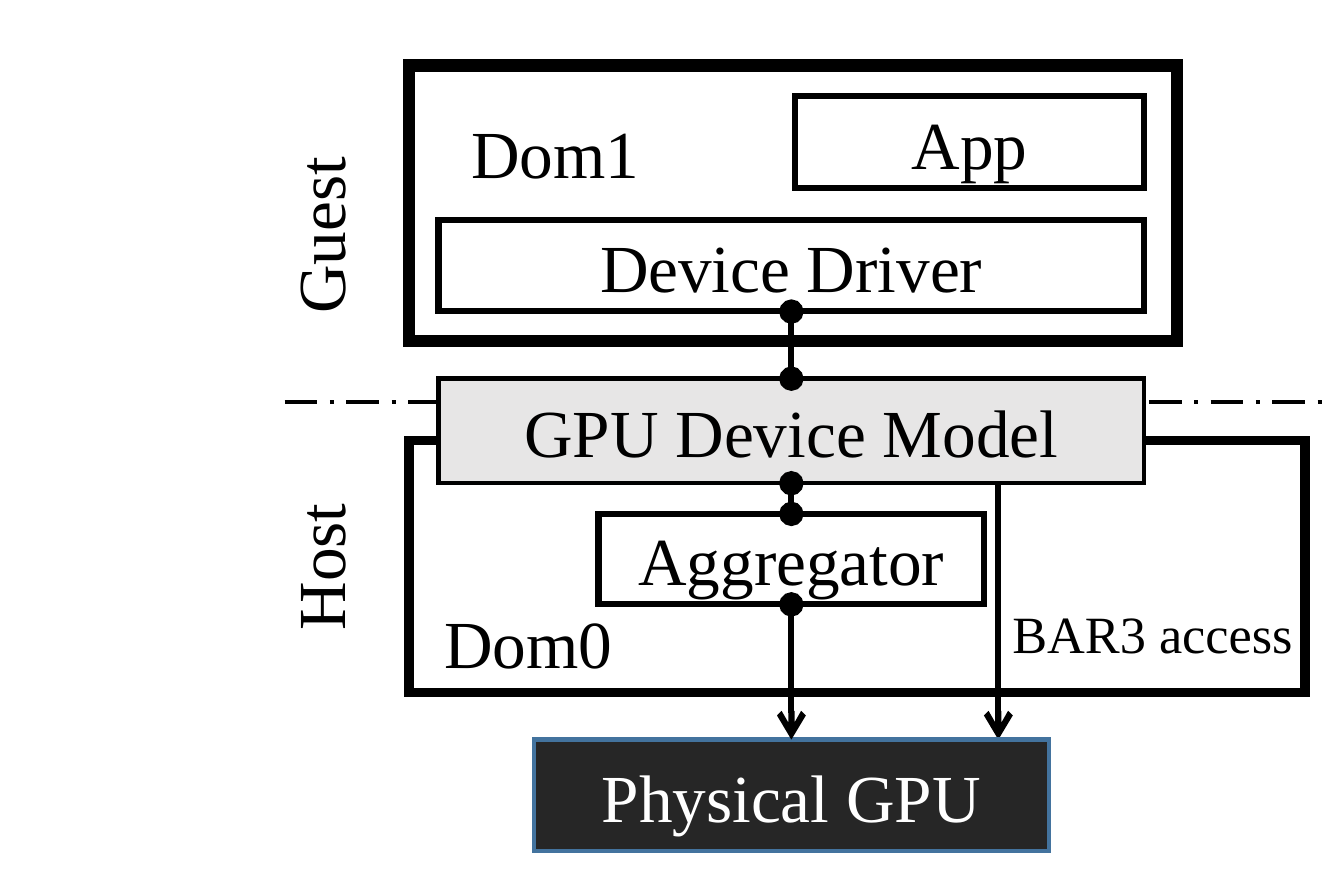
"""Build a slide of a GPU virtualisation stack: guest, host and hardware."""
import dataclasses

import lxml.etree
import pptx
import pptx.dml.color
import pptx.enum.dml
import pptx.enum.shapes
import pptx.enum.text
import pptx.oxml.ns
import pptx.util

Cm = pptx.util.Cm
BOTTOM, TOP = 2, 0


@dataclasses.dataclass(frozen=True)
class Theme:
    """Colours, font and sizes used across the slide."""
    font: str = "Times New Roman"
    label: float = 16.2
    small: float = 12.6
    ink: str = "000000"
    paper: str = "FFFFFF"
    model: str = "E7E6E6"
    hardware: str = "262626"
    hardware_edge: str = "43739E"
    hairline: float = 1
    line: float = 1.5
    host_line: float = 2.25
    guest_line: float = 3


@dataclasses.dataclass(frozen=True)
class Box:
    """A rectangle in centimetres."""
    left: float
    top: float
    width: float
    height: float

    def inner(self, left, top, width, height):
        """Return a box placed relative to this one."""
        return Box(self.left + left, self.top + top, width, height)

    def lengths(self):
        """Return the four measures as lengths."""
        return [Cm(value) for value in dataclasses.astuple(self)]


THEME = Theme()


def rgb(colour):
    """Turn a hex string into a colour."""
    return pptx.dml.color.RGBColor.from_string(colour)


def add_tag(parent, name, **attributes):
    """Append a DrawingML element."""
    return lxml.etree.SubElement(parent, pptx.oxml.ns.qn(name), **attributes)


def write(frame, text, size, colour=THEME.ink):
    """Write one run of text in a frame."""
    span = frame.paragraphs[0].add_run()
    span.text = text
    span.font.name = THEME.font
    span.font.size = pptx.util.Pt(size)
    span.font.color.rgb = rgb(colour)


def add_block(shapes, box, text="", weight=THEME.line, fill=None,
              edge=THEME.ink, colour=THEME.ink):
    """Add a rectangle with an optional centred label."""
    block = shapes.add_shape(pptx.enum.shapes.MSO_SHAPE.RECTANGLE, *box.lengths())
    block.shadow.inherit = False
    if fill:
        block.fill.solid()
        block.fill.fore_color.rgb = rgb(fill)
    else:
        block.fill.background()
    block.line.color.rgb = rgb(edge)
    block.line.width = pptx.util.Pt(weight)
    add_tag(block.line._get_or_add_ln(), "a:miter", lim="800000")
    if text:
        frame = block.text_frame
        frame.vertical_anchor = pptx.enum.text.MSO_ANCHOR.MIDDLE
        frame.paragraphs[0].alignment = pptx.enum.text.PP_ALIGN.CENTER
        write(frame, text, THEME.label, colour)
    return block


def add_label(page, box, text, size=THEME.label, rotation=0):
    """Add a free label that fits its text."""
    label = page.shapes.add_textbox(*box.lengths())
    label.rotation = rotation
    label.text_frame.word_wrap = False
    label.text_frame.auto_size = pptx.enum.text.MSO_AUTO_SIZE.SHAPE_TO_FIT_TEXT
    write(label.text_frame, text, size)


def add_line(page, start=(0, 0), end=(0, 0), weight=THEME.line, dash=None,
             head=None, tail=None):
    """Add a straight line with optional dash and ends."""
    line = page.shapes.add_connector(
        pptx.enum.shapes.MSO_CONNECTOR.STRAIGHT,
        *[Cm(value) for value in (*start, *end)])
    line.line.color.rgb = rgb(THEME.ink)
    line.line.width = pptx.util.Pt(weight)
    if dash:
        line.line.dash_style = dash
    outline = line.line._get_or_add_ln()
    if head:
        add_tag(outline, "a:headEnd", type=head)
    if tail:
        add_tag(outline, "a:tailEnd", type=tail)
    add_tag(line._element.spPr, "a:effectLst")
    return line


def link(page, upper, lower, tail="oval"):
    """Join the bottom of one block to the top of another."""
    line = add_line(page, head="oval", tail=tail)
    line.begin_connect(upper, BOTTOM)
    line.end_connect(lower, TOP)


def add_boundary(page, box):
    """Draw the line between guest and host with the side names."""
    add_line(page, (box.left, box.top), (box.left + box.width, box.top),
             THEME.hairline, pptx.enum.dml.MSO_LINE.LONG_DASH_DOT)
    add_label(page, box.inner(-0.63, -1.9, 1.85, 0.94), "Guest", rotation=270)
    add_label(page, box.inner(-0.51, 0.92, 1.6, 0.94), "Host", rotation=270)


def add_guest(page, box):
    """Draw the guest domain and return its device driver."""
    group = page.shapes.add_group_shape()
    add_block(group.shapes, box, weight=THEME.guest_line)
    add_block(group.shapes, box.inner(3.28, 0.26, 2.97, 0.78), "App")
    driver = add_block(group.shapes, box.inner(0.25, 1.31, 6, 0.78), "Device Driver")
    add_label(page, box.inner(0.28, 0.26, 1.96, 0.94), "Dom1")
    return driver


def add_host(page, box):
    """Draw the host domain and return its device model and aggregator."""
    add_block(page.shapes, box, weight=THEME.host_line)
    access = box.left + 5.01
    add_line(page, (access, box.top - 0.45), (access, box.top + 2.54), tail="arrow")
    model = add_block(page.shapes, box.inner(0.25, -0.53, 6, 0.89),
                      "GPU Device Model", THEME.hairline, THEME.model)
    aggregator = add_block(page.shapes, box.inner(1.61, 0.62, 3.28, 0.77), "Aggregator")
    add_label(page, box.inner(0.05, 1.24, 1.96, 0.94), "Dom0")
    add_label(page, box.inner(4.88, 1.24, 2.92, 0.78), "BAR3 access", THEME.small)
    return model, aggregator


def add_hardware(page, box):
    """Draw the physical device."""
    return add_block(page.shapes, box, "Physical GPU", THEME.hairline,
                     THEME.hardware, THEME.hardware_edge, THEME.paper)


def main():
    """Build and save the deck."""
    deck = pptx.Presentation()
    deck.slide_width, deck.slide_height = Cm(11.43), Cm(7.62)
    page = deck.slides.add_slide(deck.slide_layouts[6])
    add_boundary(page, Box(2.42, 3.42, 8.86, 0))
    driver = add_guest(page, Box(3.48, 0.56, 6.53, 2.34))
    model, aggregator = add_host(page, Box(3.48, 3.75, 7.62, 2.14))
    device = add_hardware(page, Box(4.54, 6.29, 4.38, 0.95))
    link(page, driver, model)
    link(page, model, aggregator)
    link(page, aggregator, device, tail="arrow")
    deck.save("out.pptx")


if __name__ == "__main__":
    main()
